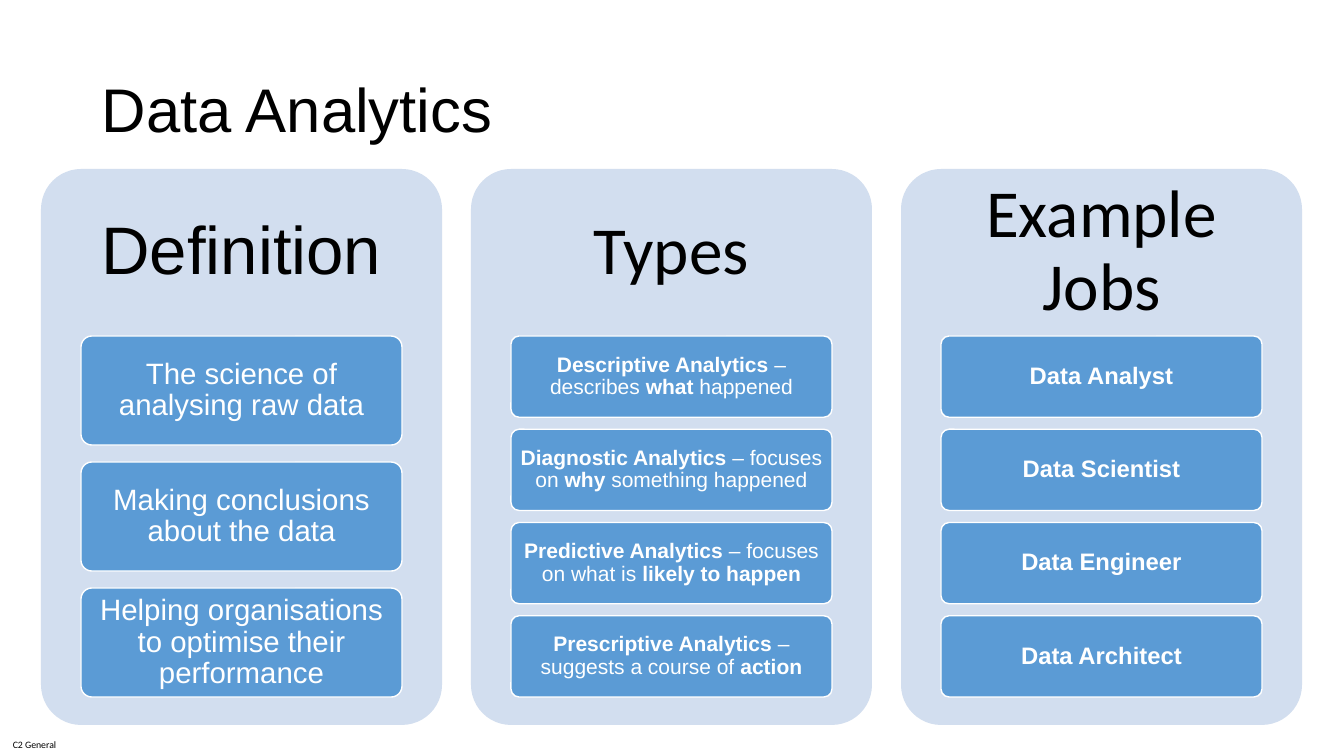
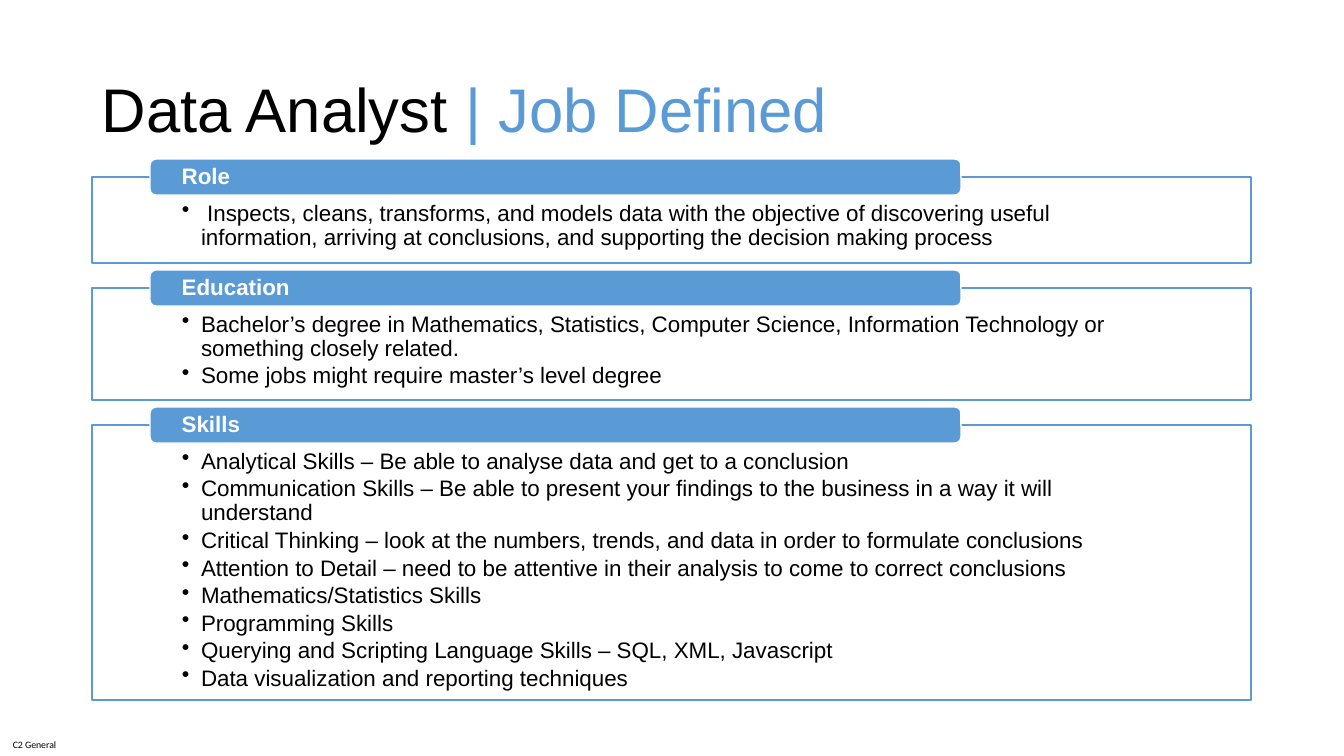
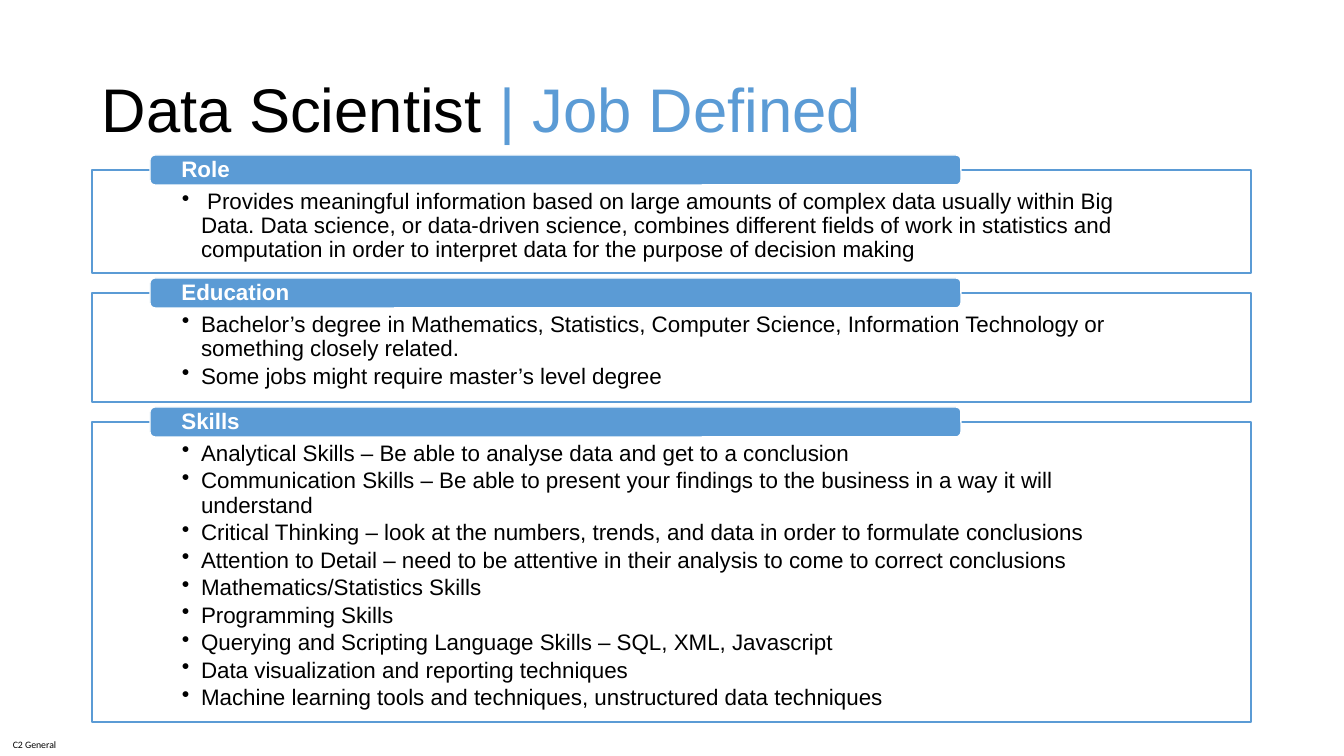
from dataclasses import dataclass, replace

from lxml import etree
from pptx import Presentation
from pptx.dml.color import RGBColor
from pptx.enum.shapes import MSO_SHAPE
from pptx.enum.text import MSO_ANCHOR, PP_ALIGN
from pptx.oxml.ns import qn
from pptx.util import Pt

ROUNDED, RECTANGLE = MSO_SHAPE.ROUNDED_RECTANGLE, MSO_SHAPE.RECTANGLE
TOP, MIDDLE = MSO_ANCHOR.TOP, MSO_ANCHOR.MIDDLE
LEFT, CENTER = PP_ALIGN.LEFT, PP_ALIGN.CENTER

PAGE_WIDTH, PAGE_HEIGHT = 1344, 756
EMU_PER_PX = 12192000 / PAGE_WIDTH


@dataclass(frozen=True)
class Theme:
    """Colours, fonts and type sizes shared by the deck."""

    black: RGBColor = RGBColor(0x00, 0x00, 0x00)
    white: RGBColor = RGBColor(0xFF, 0xFF, 0xFF)
    blue: RGBColor = RGBColor(0x5B, 0x9B, 0xD5)
    pale_blue: RGBColor = RGBColor(0xD2, 0xDE, 0xEF)
    sans: str = "Arial"
    humanist: str = "Calibri"
    footer_size: int = 7
    title_size: int = 44
    heading_size: int = 48
    body_size: int = 16
    definition_size: int = 21
    type_size: int = 15
    job_size: int = 17
    bullet_space: float = 2.4
    line_spacing: float = 0.9


THEME = Theme()


@dataclass(frozen=True)
class TextStyle:
    """The look of a paragraph."""

    size: int
    color: RGBColor = THEME.black
    font: str = THEME.sans
    bold: bool = False
    align: PP_ALIGN = LEFT
    line_spacing: float = THEME.line_spacing


TITLE = TextStyle(THEME.title_size)
TITLE_ACCENT = replace(TITLE, color=THEME.blue)
FOOTER = TextStyle(THEME.footer_size, font=THEME.humanist, align=CENTER, line_spacing=1.0)
BULLET = TextStyle(THEME.body_size)
TAB = TextStyle(THEME.body_size, THEME.white, bold=True)
DEFINITION = TextStyle(THEME.definition_size, THEME.white, align=CENTER)
JOB = TextStyle(THEME.job_size, THEME.white, bold=True, align=CENTER)
TYPE = TextStyle(THEME.type_size, THEME.white, bold=True, align=CENTER)
TYPE_PLAIN = replace(TYPE, bold=False)
HEADING = TextStyle(THEME.heading_size, align=CENTER)
HEADING_HUMANIST = replace(HEADING, font=THEME.humanist)


@dataclass(frozen=True)
class Card:
    """A column with a heading and stacked items."""

    heading: str
    heading_style: TextStyle
    items: tuple
    style: TextStyle
    gap: int
    insets: tuple
    accent: TextStyle = None


CARDS = (
    Card("Definition", HEADING, (
        ("The science of analysing raw data",),
        ("Making conclusions about the data",),
        ("Helping organisations to optimise their performance",),
    ), DEFINITION, 17, (6, 4, 6, 4)),
    Card("Types", HEADING_HUMANIST, (
        ("Descriptive Analytics", " – describes ", "what", " happened"),
        ("Diagnostic Analytics", " – focuses on ", "why", " something happened"),
        ("Predictive Analytics", " – focuses on what is ", "likely to happen"),
        ("Prescriptive Analytics", " – suggests a course of ", "action"),
    ), TYPE, 12, (4, 3, 4, 3), TYPE_PLAIN),
    Card("Example Jobs", HEADING_HUMANIST, (
        ("Data Analyst",),
        ("Data Scientist",),
        ("Data Engineer",),
        ("Data Architect",),
    ), JOB, 12, (5, 4, 5, 4)),
)

EDUCATION = (
    "Bachelor’s degree in Mathematics, Statistics, Computer Science, "
    "Information Technology or something closely related.",
    "Some jobs might require master’s level degree",
)
SKILLS = (
    "Analytical Skills – Be able to analyse data and get to a conclusion",
    "Communication Skills – Be able to present your findings to the business "
    "in a way it will understand",
    "Critical Thinking – look at the numbers, trends, and data in order to "
    "formulate conclusions",
    "Attention to Detail – need to be attentive in their analysis to come to "
    "correct conclusions",
    "Mathematics/Statistics Skills",
    "Programming Skills",
    "Querying and Scripting Language Skills – SQL, XML, Javascript",
    "Data visualization and reporting techniques",
)
ANALYST_ROLE = (
    " Inspects, cleans, transforms, and models data with the objective of "
    "discovering useful information, arriving at conclusions, and supporting "
    "the decision making process",
)
SCIENTIST_ROLE = (
    " Provides meaningful information based on large amounts of complex data "
    "usually within Big Data. Data science, or data-driven science, combines "
    "different fields of work in statistics and computation in order to "
    "interpret data for the purpose of decision making",
)
SCIENTIST_SKILLS = SKILLS + (
    "Machine learning tools and techniques, unstructured data techniques",
)


def px(length):
    """Turn pixels into EMU."""
    return round(length * EMU_PER_PX)


def apply_font(font, style):
    """Set a font from a style."""
    font.name = style.font
    font.size = Pt(style.size)
    font.bold = style.bold
    font.color.rgb = style.color


def add_bullet(para, indent):
    """Give a paragraph a hanging round bullet."""
    properties = para._p.get_or_add_pPr()
    properties.set("marL", str(px(indent)))
    properties.set("indent", str(-px(indent)))
    etree.SubElement(properties, qn("a:buChar")).set("char", "•")


def write(box, paragraphs, style, accent=None, insets=(0, 0, 0, 0), anchor=MIDDLE, bullet=0):
    """Fill a box with paragraphs whose spans alternate between style and accent."""
    frame = box.text_frame
    frame.word_wrap = True
    frame.vertical_anchor = anchor
    (frame.margin_left, frame.margin_top,
     frame.margin_right, frame.margin_bottom) = map(px, insets)
    for index, spans in enumerate(paragraphs):
        para = frame.add_paragraph() if index else frame.paragraphs[0]
        para.alignment = style.align
        para.line_spacing = style.line_spacing
        if bullet:
            para.space_after = Pt(THEME.bullet_space)
            add_bullet(para, bullet)
        apply_font(para.font, style)
        for position, text in enumerate(spans):
            span = para.add_run()
            span.text = text
            if accent:
                apply_font(span.font, accent if position % 2 else style)


def add_text(page, bounds, paragraphs, style, **options):
    """Add a text box."""
    box = page.shapes.add_textbox(*map(px, bounds))
    write(box, paragraphs, style, **options)


def add_block(page, kind, bounds, fill, line=None, corner=None):
    """Add a flat filled shape with an optional outline."""
    block = page.shapes.add_shape(kind, *map(px, bounds))
    block.shadow.inherit = False
    block.fill.solid()
    block.fill.fore_color.rgb = fill
    if line is None:
        block.line.fill.background()
    else:
        block.line.color.rgb = line
        block.line.width = Pt(1)
    if corner is not None:
        block.adjustments[0] = corner
    return block


def set_opacity(block, percent):
    """Make the fill of a block partly transparent."""
    color = block.element.spPr.find(qn("a:solidFill")).find(qn("a:srgbClr"))
    etree.SubElement(color, qn("a:alpha")).set("val", str(percent * 1000))


def add_page(deck, *title):
    """Add a blank page with the shared title and footer."""
    page = deck.slides.add_slide(deck.slide_layouts[6])
    add_text(page, (0, 733, 69, 23), [("C2 General",)], FOOTER)
    add_text(page, (92, 40, 1159, 146), [title], TITLE,
             accent=TITLE_ACCENT, insets=(10, 5, 10, 5))
    return page


def add_card(page, left, card):
    """Add one column, its items sharing the height equally."""
    top, width, heading_height, items_height, margin = 169, 401, 167, 361, 40
    add_block(page, ROUNDED, (left, top, width, 556), THEME.pale_blue, corner=0.1)
    add_text(page, (left, top, width, heading_height), [(card.heading,)],
             card.heading_style, insets=(20, 20, 20, 20))
    count = len(card.items)
    height = (items_height - card.gap * (count - 1)) / count
    for index, spans in enumerate(card.items):
        item_top = top + heading_height + index * (height + card.gap)
        item = add_block(page, ROUNDED, (left + margin, item_top, width - 2 * margin, height),
                         THEME.blue, THEME.white, 0.1)
        write(item, [spans], card.style, accent=card.accent, insets=card.insets)


def add_sections(page, top, gap, tab_height, inset_top, sections):
    """Stack outlined panels, each with a label tab on its top edge."""
    for label, height, bullets in sections:
        panel = add_block(page, RECTANGLE, (92, top, 1159, height), THEME.white, THEME.blue)
        set_opacity(panel, 90)
        write(panel, [(text,) for text in bullets], BULLET,
              insets=(90, inset_top, 90, 12), anchor=TOP, bullet=19)
        tab = add_block(page, ROUNDED, (150, top - tab_height // 2, 811, tab_height),
                        THEME.blue, THEME.white)
        write(tab, [(label,)], TAB, insets=(30, 0, 30, 0))
        top += height + gap


def main():
    """Build and save the deck."""
    deck = Presentation()
    deck.slide_width, deck.slide_height = px(PAGE_WIDTH), px(PAGE_HEIGHT)

    overview = add_page(deck, "Data Analytics")
    for index, card in enumerate(CARDS):
        add_card(overview, 41 + index * 430, card)

    analyst = add_page(deck, "Data Analyst ", "| Job Defined")
    add_sections(analyst, 177, 25, 36, 25, (
        ("Role", 86, ANALYST_ROLE),
        ("Education", 112, EDUCATION),
        ("Skills", 275, SKILLS),
    ))

    scientist = add_page(deck, "Data Scientist ", "| Job Defined")
    add_sections(scientist, 170, 20, 30, 20, (
        ("Role", 103, SCIENTIST_ROLE),
        ("Education", 109, EDUCATION),
        ("Skills", 300, SCIENTIST_SKILLS),
    ))

    deck.save("out.pptx")


if __name__ == "__main__":
    main()
